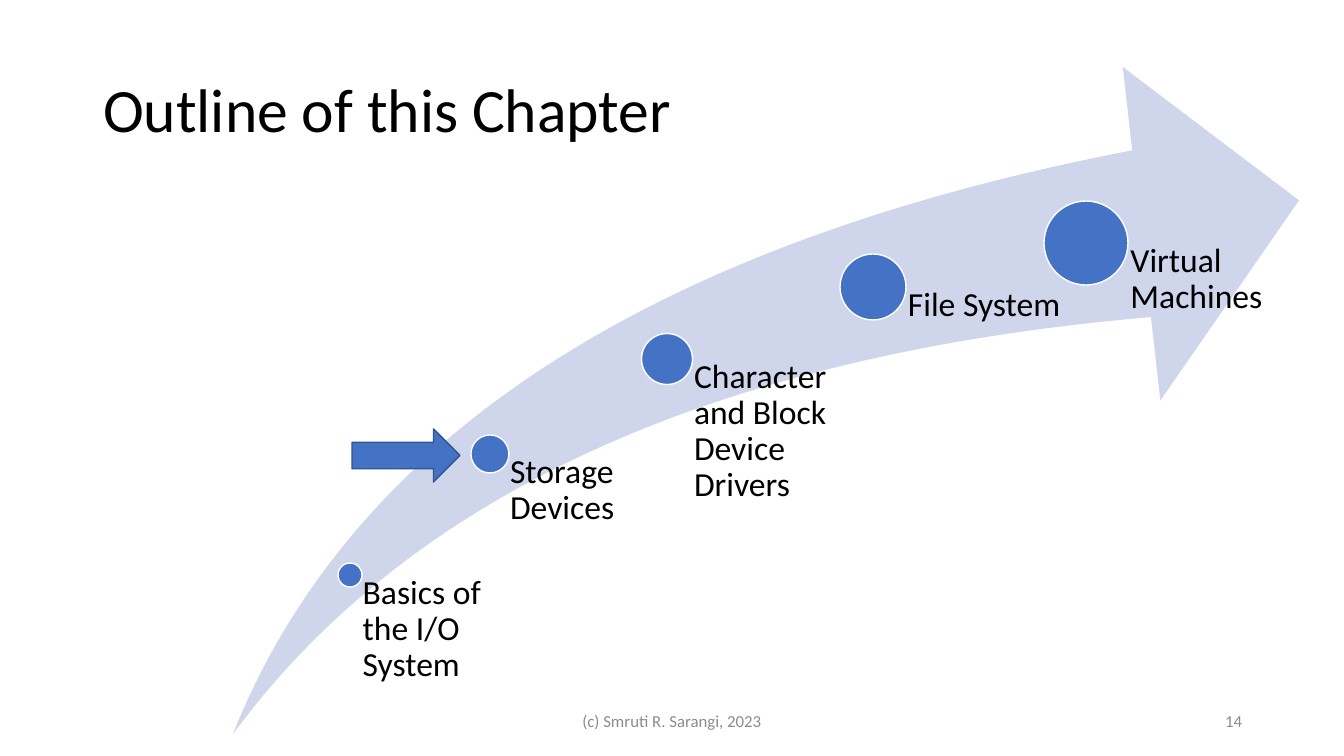
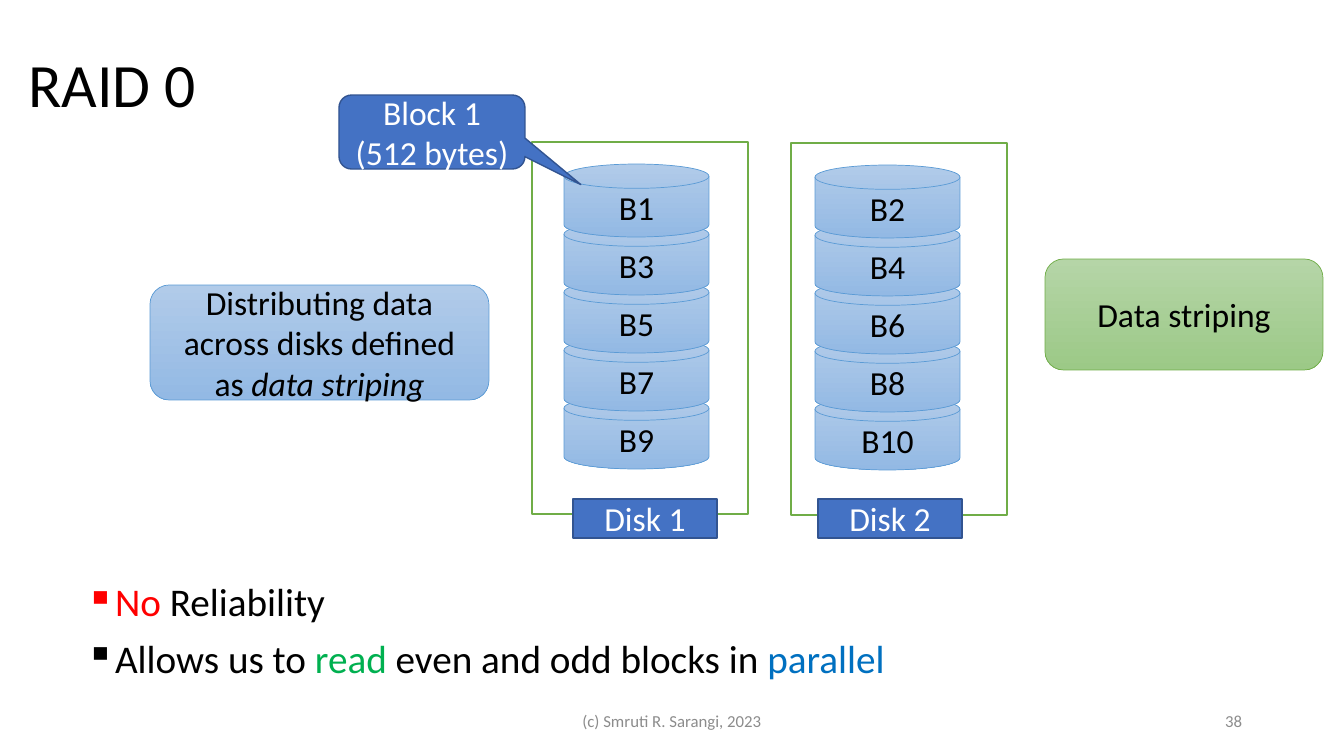
from lxml.etree import SubElement
from pptx import Presentation
from pptx.dml.color import RGBColor
from pptx.enum.shapes import MSO_SHAPE as Shape
from pptx.enum.text import MSO_ANCHOR as Anchor, MSO_AUTO_SIZE as AutoSize, PP_ALIGN as Align
from pptx.oxml.ns import qn
from pptx.util import Emu, Pt

PX = 914400 / 100.8
FONT = "Calibri"
WHITE = RGBColor(0xFF, 0xFF, 0xFF)
BLACK = RGBColor(0x00, 0x00, 0x00)
GREY = RGBColor(0x8C, 0x8C, 0x8C)
RED = RGBColor(0xFF, 0x00, 0x00)
READ_GREEN = RGBColor(0x00, 0xB0, 0x50)
PARALLEL_BLUE = RGBColor(0x00, 0x70, 0xC0)
SWOOSH = RGBColor(0xCF, 0xD5, 0xEA)
BLUE = RGBColor(0x44, 0x72, 0xC4)
NAVY = RGBColor(0x32, 0x54, 0x91)
SKY = RGBColor(0x5B, 0x9B, 0xD5)
GREEN = RGBColor(0x70, 0xAD, 0x47)
SKY_FADE = (RGBColor(0xB1, 0xCB, 0xE9), RGBColor(0x93, 0xB9, 0xE4))
GREEN_FADE = (RGBColor(0xB5, 0xD5, 0xA7), RGBColor(0x9C, 0xC9, 0x87))


def px(length):
    """Turn px into EMU."""
    return Emu(round(length * PX))


def add_run(paragraph, text, size, color=BLACK, italic=None):
    """Add one formatted run."""
    run = paragraph.add_run()
    run.text = text
    run.font.name = FONT
    run.font.size = Pt(size)
    run.font.color.rgb = color
    run.font.italic = italic


def add_shape(slide, kind, box, fill, line=None, weight=1, adjust=()):
    """Add a preset shape with a plain fill or a two-colour vertical fade."""
    shape = slide.shapes.add_shape(kind, *map(px, box))
    shape.shadow.inherit = False
    for index, value in enumerate(adjust):
        shape.adjustments[index] = value
    if isinstance(fill, RGBColor):
        shape.fill.solid()
        shape.fill.fore_color.rgb = fill
    else:
        shape.fill.gradient()
        shape.fill.gradient_angle = 270
        for stop, color in zip(shape.fill.gradient_stops, fill):
            stop.color.rgb = color
    if line is None:
        shape.line.fill.background()
    else:
        shape.line.color.rgb = line
        shape.line.width = Pt(weight)
    return shape


def write_centred(shape, lines, color=BLACK):
    """Write centred lines, each a list of (text, italic) runs."""
    frame = shape.text_frame
    frame.word_wrap = True
    frame.vertical_anchor = Anchor.MIDDLE
    for index, runs in enumerate(lines):
        paragraph = frame.add_paragraph() if index else frame.paragraphs[0]
        paragraph.alignment = Align.CENTER
        for text, italic in runs:
            add_run(paragraph, text, 24, color, italic)


def add_text_frame(slide, box):
    """Add a wrapping text box and return its frame."""
    frame = slide.shapes.add_textbox(*map(px, box)).text_frame
    frame.word_wrap = True
    return frame


def add_titled_slide(deck, title, left, top, number):
    """Add a slide with its title, copyright line and page number."""
    slide = deck.slides.add_slide(deck.slide_layouts[5])
    heading = slide.shapes.title
    heading.left, heading.top, heading.width, heading.height = map(px, (left, top, 1159, 146))
    frame = heading.text_frame
    frame.auto_size = AutoSize.NONE
    frame.word_wrap = True
    frame.vertical_anchor = Anchor.MIDDLE
    paragraph = frame.paragraphs[0]
    paragraph.alignment = Align.LEFT
    paragraph.line_spacing = 0.9
    add_run(paragraph, title, 44)
    footers = (
        ("(c) Smruti R. Sarangi, 2023", (445, 701, 454, 40), Align.CENTER),
        (number, (950, 701, 302, 40), Align.RIGHT),
    )
    for text, box, alignment in footers:
        footer = add_text_frame(slide, box)
        footer.vertical_anchor = Anchor.MIDDLE
        footer.paragraphs[0].alignment = alignment
        add_run(footer.paragraphs[0], text, 12, GREY)
    return slide


def add_topic_path(slide, box, topics):
    """Draw the rising arrow with a growing dot and a label for each topic."""
    left, top, _, height = box
    add_shape(slide, Shape.SWOOSH_ARROW, box, SWOOSH, adjust=(0.25, 0.25))
    for topic, across, down, size, label_width in topics:
        dot = (left + across - size / 2, top + down - size / 2, size, size)
        add_shape(slide, Shape.OVAL, dot, BLUE, WHITE)
        label = add_text_frame(slide, (left + across, top + down, label_width, height - down))
        label.margin_left = px(size * 0.53)
        label.margin_top = label.margin_right = label.margin_bottom = 0
        label.paragraphs[0].line_spacing = 0.9
        add_run(label.paragraphs[0], topic, 24)


def add_disk(slide, left, top, name, first_block, stack_inset, name_inset):
    """Draw a framed disk: five stacked blocks above a name plate."""
    add_shape(slide, Shape.FLOWCHART_PROCESS, (left, top, 216, 372), WHITE, GREEN)
    for level in reversed(range(5)):
        block_box = (left + stack_inset, top + 22 + 58 * level, 145, 73)
        block = add_shape(slide, Shape.FLOWCHART_MAGNETIC_DISK, block_box, SKY_FADE, SKY, 0.5)
        write_centred(block, [[(f"B{first_block + 2 * level}", None)]])
    plate = add_shape(slide, Shape.FLOWCHART_PROCESS, (left + name_inset, 499, 144, 39), BLUE, NAVY)
    write_centred(plate, [[(name, None)]], WHITE)


def add_bullets(slide, box, items):
    """Write square-bulleted items made of coloured runs."""
    frame = add_text_frame(slide, box)
    for index, runs in enumerate(items):
        paragraph = frame.add_paragraph() if index else frame.paragraphs[0]
        properties = paragraph._p.get_or_add_pPr()
        properties.set("marL", str(px(25)))
        properties.set("indent", str(px(-25)))
        SubElement(properties, qn("a:buChar")).set("char", "▪")
        paragraph.line_spacing = 0.9
        if index:
            paragraph.space_before = Pt(10)
        for text, color in runs:
            add_run(paragraph, text, 28, color)


def build_outline(deck):
    """Build the chapter outline slide."""
    slide = add_titled_slide(deck, "Outline of this Chapter", 93, 40, "14")
    add_topic_path(slide, (233, 67, 1066, 667), (
        ("Basics of the I/O System", 117, 508, 24, 140),
        ("Storage Devices", 257, 387, 38, 177),
        ("Character and Block Device Drivers", 434, 292, 51, 206),
        ("File System", 640, 220, 66, 214),
        ("Virtual Machines", 853, 176, 84, 214),
    ))
    add_shape(slide, Shape.RIGHT_ARROW, (352, 429, 108, 53), BLUE, NAVY)


def build_raid(deck):
    """Build the RAID 0 slide."""
    slide = add_titled_slide(deck, "RAID 0", 18, 15, "38")
    add_bullets(slide, (76, 578, 1192, 111), (
        (("No", RED), (" Reliability", BLACK)),
        (("Allows us to ", BLACK), ("read", READ_GREEN),
         (" even and odd blocks in ", BLACK), ("parallel", PARALLEL_BLUE)),
    ))
    add_disk(slide, 791, 143, "Disk 2", 2, 24, 27)
    add_disk(slide, 532, 142, "Disk 1", 1, 32, 41)
    callout = add_shape(slide, Shape.ROUNDED_RECTANGULAR_CALLOUT, (339, 95, 186, 74),
                        BLUE, NAVY, adjust=(0.8, 0.71, 0.17))
    write_centred(callout, [[("Block 1", None)], [("(512 bytes)", None)]], WHITE)
    definition = add_shape(slide, Shape.ROUNDED_RECTANGLE, (150, 285, 339, 115), SKY_FADE, SKY, 0.5)
    write_centred(definition, [[("Distributing data across disks defined as ", None),
                                ("data striping", True)]])
    term = add_shape(slide, Shape.ROUNDED_RECTANGLE, (1045, 259, 278, 111), GREEN_FADE, GREEN, 0.5)
    write_centred(term, [[("Data striping", None)]])


def main():
    """Build and save the deck."""
    deck = Presentation()
    deck.slide_width, deck.slide_height = px(1344), px(756)
    build_outline(deck)
    build_raid(deck)
    deck.save("out.pptx")


if __name__ == "__main__":
    main()
